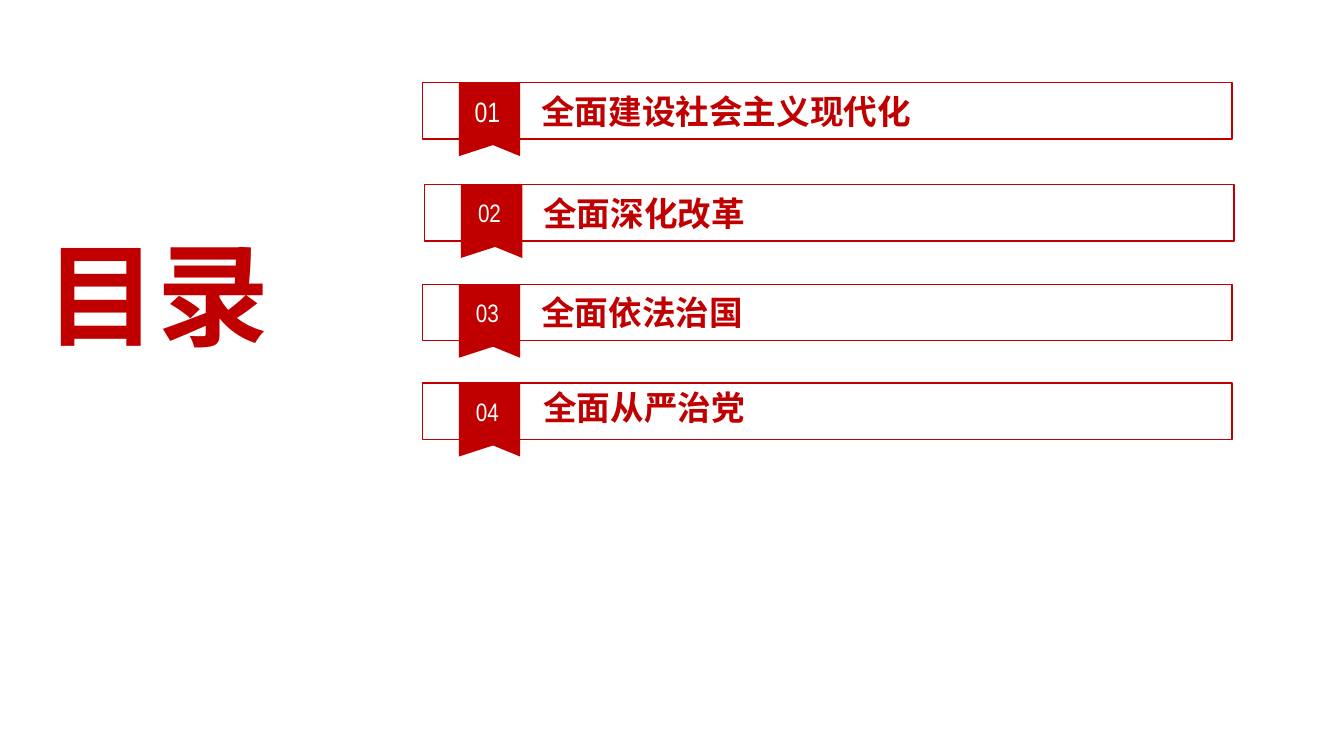
from lxml.etree import SubElement
from pptx import Presentation
from pptx.dml.color import RGBColor
from pptx.enum.shapes import MSO_SHAPE
from pptx.enum.text import MSO_ANCHOR, MSO_AUTO_SIZE, PP_ALIGN
from pptx.oxml.ns import qn
from pptx.util import Inches, Pt

COLORS = {"red": "C00000", "white": "FFFFFF"}
HEADING_FONT = "Noto Sans CJK SC"
NUMBER_FONT = "Arial Narrow"
ROW_WIDTH, ROW_HEIGHT = 8.03, 0.56
RIBBON_POINTS = [(0.36, 0), (0.97, 0), (0.97, 0.73), (0.7, 0.62), (0.36, 0.73)]

ENTRIES = [
    ("01", "全面建设社会主义现代化", 4.19, 0.82, 20, (1.08, 0.03)),
    ("02", "全面深化改革", 4.21, 1.83, 18, (1.08, 0.03)),
    ("03", "全面依法治国", 4.19, 2.82, 18, (1.08, 0.03)),
    ("04", "全面从严治党", 4.19, 3.8, 18, (1.1, -0.01)),
]


def color(name):
    return RGBColor.from_string(COLORS[name])


def write_text(shape, text, size, font_name, color_name, bold, alignment, anchor):
    frame = shape.text_frame
    frame.word_wrap = True
    frame.auto_size = MSO_AUTO_SIZE.NONE
    frame.vertical_anchor = anchor
    frame.text = text
    paragraph = frame.paragraphs[0]
    paragraph.alignment = alignment
    run = paragraph.runs[0]
    run.font.size = Pt(size)
    run.font.bold = bold
    run.font.color.rgb = color(color_name)
    run.font.name = font_name
    east_asian = SubElement(run.font._element, qn("a:ea"))
    east_asian.set("typeface", font_name)


def add_heading(slide, left, top, width, height):
    title = slide.shapes.title
    title.left, title.top = Inches(left), Inches(top)
    title.width, title.height = Inches(width), Inches(height)
    write_text(title, "目录", 80, HEADING_FONT, "red", True,
               PP_ALIGN.JUSTIFY, MSO_ANCHOR.TOP)


def add_ribbon(slide, left, top):
    points = [(Inches(left + x), Inches(top + y)) for x, y in RIBBON_POINTS]
    builder = slide.shapes.build_freeform(*points[0])
    builder.add_line_segments(points[1:], close=True)
    ribbon = builder.convert_to_shape()
    ribbon.shadow.inherit = False
    ribbon.fill.solid()
    ribbon.fill.fore_color.rgb = color("red")
    ribbon.line.fill.background()


def add_entry(slide, number, label, left, top, number_size, label_offset):
    frame = slide.shapes.add_shape(
        MSO_SHAPE.RECTANGLE, Inches(left), Inches(top),
        Inches(ROW_WIDTH), Inches(ROW_HEIGHT))
    frame.shadow.inherit = False
    frame.fill.solid()
    frame.fill.fore_color.rgb = color("white")
    frame.line.color.rgb = color("red")
    frame.line.width = Pt(1)

    add_ribbon(slide, left, top)

    number_box = slide.shapes.add_textbox(
        Inches(left + 0.28), Inches(top), Inches(0.73), Inches(ROW_HEIGHT))
    write_text(number_box, number, number_size, NUMBER_FONT, "white", False,
               PP_ALIGN.CENTER, MSO_ANCHOR.MIDDLE)

    label_left, label_top = label_offset
    label_box = slide.shapes.add_textbox(
        Inches(left + label_left), Inches(top + label_top), Inches(6.89), Inches(0.5))
    write_text(label_box, label, 24, HEADING_FONT, "red", True,
               PP_ALIGN.LEFT, MSO_ANCHOR.TOP)


def main():
    presentation = Presentation()
    presentation.slide_width = Inches(13.33)
    presentation.slide_height = Inches(7.5)
    slide = presentation.slides.add_slide(presentation.slide_layouts[5])
    add_heading(slide, 0.35, 2.19, 3.17, 1.45)
    for entry in ENTRIES:
        add_entry(slide, *entry)
    presentation.save("out.pptx")


if __name__ == "__main__":
    main()
